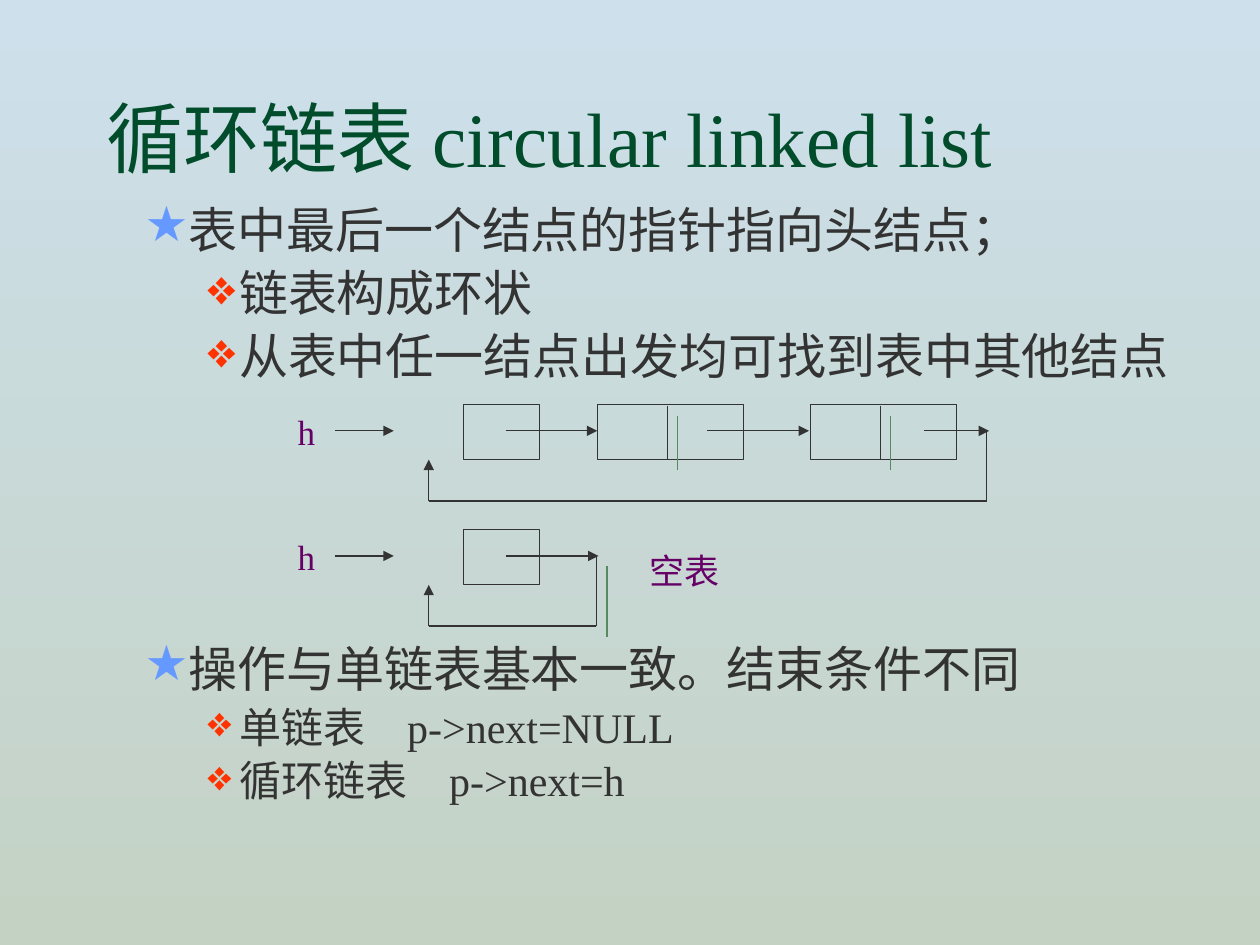
from lxml import etree
from pptx import Presentation
from pptx import util as u
from pptx.dml.color import RGBColor
from pptx.enum import shapes, text
from pptx.oxml import parse_xml
from pptx.oxml.ns import nsdecls, qn

COLORS = {
    "sky": "CDE0EB",
    "sage": "C4D2C4",
    "title": "004C2B",
    "body": "333333",
    "label": "660066",
    "star": "6699FF",
    "diamond": "FF3300",
    "shadow": "578963",
}
LEVELS = {
    1: {"sign": "★", "color": "star", "margin": 58.5, "indent": -22.5},
    2: {"sign": "❖", "color": "diamond", "margin": 90, "indent": -18},
}


def rgb(name):
    return RGBColor.from_string(COLORS[name])


def write(paragraph, wording, size=28, color="body", font="Times New Roman",
          level=None, before=0, spacing=None, align=None):
    if level:
        style = LEVELS[level]
        properties = paragraph._p.get_or_add_pPr()
        properties.set("marL", str(u.Pt(style["margin"])))
        properties.set("indent", str(u.Pt(style["indent"])))
        tint = etree.SubElement(properties, qn("a:buClr"))
        etree.SubElement(tint, qn("a:srgbClr"), val=COLORS[style["color"]])
        etree.SubElement(properties, qn("a:buChar"), char=style["sign"])
        paragraph.level = level - 1
    paragraph.space_before = u.Pt(before)
    paragraph.line_spacing = spacing
    paragraph.alignment = align
    run = paragraph.add_run()
    run.text = wording
    run.font.name = font
    run.font.size = u.Pt(size)
    run.font.color.rgb = rgb(color)


class Board:
    def __init__(self, deck):
        self.slide = deck.slides.add_slide(deck.slide_layouts[6])
        self.ink = "body"
        self.weight = 0.75

    def backdrop(self, top, bottom):
        fill = self.slide.background.fill
        fill.gradient()
        fill.gradient_angle = 270
        for stop, name in zip(fill.gradient_stops, (top, bottom)):
            stop.color.rgb = rgb(name)

    def frame(self, x, y, width, height, anchor=text.MSO_ANCHOR.TOP, wrap=True):
        box = self.slide.shapes.add_textbox(*map(u.Pt, (x, y, width, height)))
        box.text_frame.word_wrap = wrap
        box.text_frame.vertical_anchor = anchor
        return box.text_frame

    def title(self, wording):
        frame = self.frame(54, 18, 612, 90, text.MSO_ANCHOR.BOTTOM)
        write(frame.paragraphs[0], wording, size=44, color="title")

    def bullets(self, y, height, items):
        frame = self.frame(39.6, y, 669.6, height)
        for index, (level, size, wording) in enumerate(items):
            paragraph = frame.add_paragraph() if index else frame.paragraphs[0]
            write(paragraph, wording, size=size, level=level, spacing=0.9,
                  before=size * 0.2 if index else 0)

    def label(self, x, y, width, wording):
        frame = self.frame(x, y, width, 31, text.MSO_ANCHOR.MIDDLE, wrap=False)
        write(frame.paragraphs[0], wording, size=20, color="label",
              align=text.PP_ALIGN.CENTER)

    def cell(self, x, y, width, height=31.7):
        box = self.slide.shapes.add_shape(
            shapes.MSO_SHAPE.RECTANGLE, *map(u.Pt, (x, y, width, height)))
        box.shadow.inherit = False
        box.fill.background()
        box.line.color.rgb = rgb(self.ink)
        box.line.width = u.Pt(self.weight)

    def line(self, x1, y1, x2, y2, arrow=False, shadow=False):
        stroke = self.slide.shapes.add_connector(
            shapes.MSO_CONNECTOR.STRAIGHT, *map(u.Pt, (x1, y1, x2, y2)))
        stroke.line.color.rgb = rgb(self.ink)
        stroke.line.width = u.Pt(self.weight)
        if arrow:
            etree.SubElement(stroke.line._get_or_add_ln(), qn("a:tailEnd"), type="triangle")
        cast = ""
        if shadow:
            cast = (f'<a:outerShdw dist="{u.Pt(8.5)}" dir="2700000" algn="ctr">'
                    f'<a:srgbClr val="{COLORS["shadow"]}"/></a:outerShdw>')
        stroke._element.spPr.append(
            parse_xml(f'<a:effectLst {nsdecls("a")}>{cast}</a:effectLst>'))

    def ring(self, y, nodes, links, right, shadow=False):
        link_y, return_y, left = y + 15.2, y + 55.3, 245
        self.label(163, y, 23, "h")
        self.line(191.5, link_y, 225, link_y, arrow=True)
        self.cell(265, y, 43.2)
        for x in nodes:
            self.cell(x, y, 83.5)
            self.line(x + 40, y + 1, x + 40, y + 31.5, shadow=True)
        for start, end in links:
            self.line(start, link_y, end, link_y, arrow=True)
        self.line(right, return_y, right, link_y, shadow=shadow)
        self.line(right, return_y, left, return_y)
        self.line(left, return_y, left, y + 31.7, arrow=True)


def main():
    deck = Presentation()
    deck.slide_width, deck.slide_height = u.Pt(720), u.Pt(540)
    board = Board(deck)
    board.backdrop("sky", "sage")
    board.title("循环链表 circular linked list")
    board.bullets(114.5, 112, [
        (1, 28, "表中最后一个结点的指针指向头结点；"),
        (2, 28, "链表构成环状"),
        (2, 28, "从表中任一结点出发均可找到表中其他结点"),
    ])
    board.ring(231, nodes=(341.3, 463), right=563.8,
               links=((289, 341.3), (404, 462.3), (527.8, 565.2)))
    board.ring(302.5, nodes=(), right=340.8, links=((289, 342),), shadow=True)
    board.label(363.6, 310.3, 54.7, "空表")
    board.bullets(365.3, 105, [
        (1, 28, "操作与单链表基本一致。结束条件不同"),
        (2, 24, "单链表　p->next=NULL"),
        (2, 24, "循环链表　p->next=h"),
    ])
    deck.save("out.pptx")


if __name__ == "__main__":
    main()
